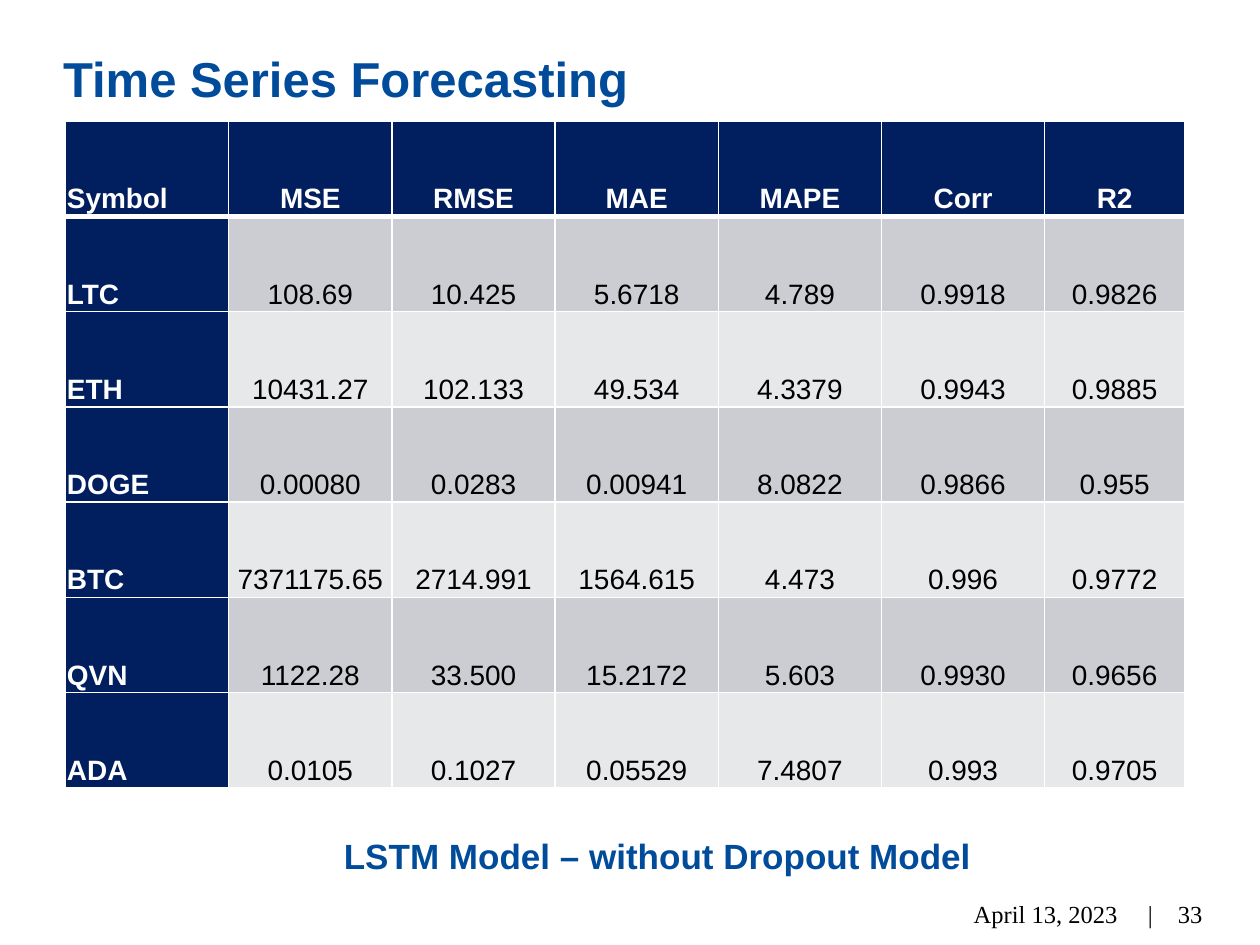
from lxml import etree
from pptx import Presentation
from pptx import util as u
from pptx.dml.color import RGBColor
from pptx.enum import text
from pptx.oxml.ns import qn

COLORS = {
    "heading": "004C9B",
    "navy": "011E5E",
    "band_dark": "CCCDD2",
    "band_light": "E7E8EA",
    "white": "FFFFFF",
    "black": "000000",
}
HEADINGS = ["Symbol", "MSE", "RMSE", "MAE", "MAPE", "Corr", "R2"]
SCORES = [
    ["LTC", "108.69", "10.425", "5.6718", "4.789", "0.9918", "0.9826"],
    ["ETH", "10431.27", "102.133", "49.534", "4.3379", "0.9943", "0.9885"],
    ["DOGE", "0.00080", "0.0283", "0.00941", "8.0822", "0.9866", "0.955"],
    ["BTC", "7371175.65", "2714.991", "1564.615", "4.473", "0.996", "0.9772"],
    ["QVN", "1122.28", "33.500", "15.2172", "5.603", "0.9930", "0.9656"],
    ["ADA", "0.0105", "0.1027", "0.05529", "7.4807", "0.993", "0.9705"],
]
ALIGN = text.PP_ALIGN
ANCHOR = text.MSO_ANCHOR


def rgb(name):
    return RGBColor.from_string(COLORS[name])


def add_run(paragraph, words, size, color, bold=False, font="Arial"):
    run = paragraph.add_run()
    run.text = words
    run.font.name = font
    run.font.size = u.Pt(size)
    run.font.bold = bold
    run.font.color.rgb = rgb(color)


def place(shape, left, top, width, height):
    shape.left, shape.top = u.Cm(left), u.Cm(top)
    shape.width, shape.height = u.Cm(width), u.Cm(height)


def write_heading(shape, words, size, align):
    frame = shape.text_frame
    frame.word_wrap = True
    frame.auto_size = text.MSO_AUTO_SIZE.NONE
    frame.vertical_anchor = ANCHOR.TOP
    paragraph = frame.paragraphs[0]
    paragraph.alignment = align
    paragraph.line_spacing = u.Pt(26.6)
    add_run(paragraph, words, size, "heading", bold=True)


def add_box(slide, left, top, width, height):
    return slide.shapes.add_textbox(u.Cm(left), u.Cm(top), u.Cm(width), u.Cm(height))


def add_footer(slide, left, width, words, align):
    frame = add_box(slide, left, 17.9, width, 1.02).text_frame
    frame.word_wrap = True
    frame.vertical_anchor = ANCHOR.MIDDLE
    paragraph = frame.paragraphs[0]
    paragraph.alignment = align
    add_run(paragraph, words, 14, "black", font="Times New Roman")
    return frame


def add_tab_stop(paragraph, position):
    stops = etree.SubElement(paragraph._p.get_or_add_pPr(), qn("a:tabLst"))
    etree.SubElement(stops, qn("a:tab"), pos=str(u.Cm(position)), algn="l")


def set_borders(cell, top, bottom):
    """White lines on all sides; top and bottom are widths in points."""
    properties = cell._tc.get_or_add_tcPr()
    for side, width in (("lnL", 1), ("lnR", 1), ("lnT", top), ("lnB", bottom)):
        line = etree.SubElement(properties, qn(f"a:{side}"), w=str(u.Pt(width)))
        fill = etree.SubElement(line, qn("a:solidFill"))
        etree.SubElement(fill, qn("a:srgbClr"), val=COLORS["white"])


def fill_cell(cell, words, row, column):
    is_label = row == 0 or column == 0
    band = "band_dark" if row % 2 else "band_light"
    set_borders(cell, top=3 if row == 1 else 1, bottom=3 if row == 0 else 1)
    cell.fill.solid()
    cell.fill.fore_color.rgb = rgb("navy" if is_label else band)
    cell.vertical_anchor = ANCHOR.BOTTOM
    cell.margin_left = cell.margin_right = u.Cm(0.03)
    cell.margin_top = cell.margin_bottom = u.Cm(0.03)
    paragraph = cell.text_frame.paragraphs[0]
    paragraph.alignment = ALIGN.CENTER if column else ALIGN.LEFT
    paragraph.line_spacing = 1.1
    paragraph.space_after = u.Pt(6)
    add_run(paragraph, words, 16, "white" if is_label else "black", bold=is_label)


def add_score_table(slide):
    lines = [HEADINGS] + SCORES
    widths = [3.29] * 6 + [2.82]
    row_height = 1.92
    table = slide.shapes.add_table(
        len(lines), len(widths), u.Cm(1.32), u.Cm(2.44),
        u.Cm(sum(widths)), u.Cm(row_height * len(lines))).table
    table.horz_banding = False
    for column, width in zip(table.columns, widths):
        column.width = u.Cm(width)
    for r, line in enumerate(lines):
        table.rows[r].height = u.Cm(row_height)
        for c, words in enumerate(line):
            fill_cell(table.cell(r, c), words, r, c)


def main():
    deck = Presentation()
    deck.slide_width, deck.slide_height = u.Cm(25.4), u.Cm(19.05)
    slide = deck.slides.add_slide(deck.slide_layouts[5])

    title = slide.shapes.title
    place(title, 1.02, 1.09, 23.47, 1.35)
    write_heading(title, "Time Series Forecasting", 28, ALIGN.LEFT)

    date = add_footer(slide, 17.75, 5.77, "April 13, 2023\t|", ALIGN.LEFT)
    date.margin_left = u.Cm(1.88)
    add_tab_stop(date.paragraphs[0], 3.51)
    add_footer(slide, 22.61, 1.88, "33", ALIGN.RIGHT)

    caption = add_box(slide, 1.52, 16.61, 23.47, 1.35)
    write_heading(caption, "LSTM Model – without Dropout Model", 20, ALIGN.CENTER)

    add_score_table(slide)
    deck.save("out.pptx")


if __name__ == "__main__":
    main()
